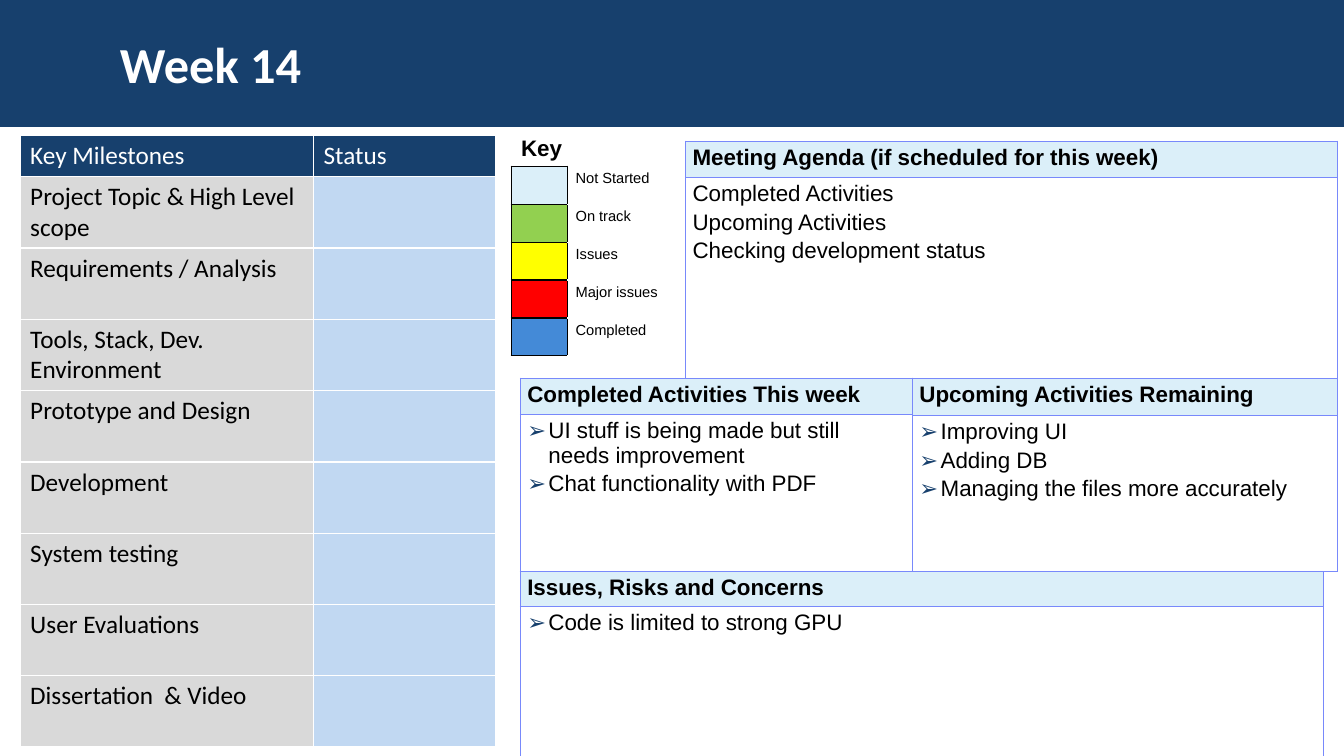
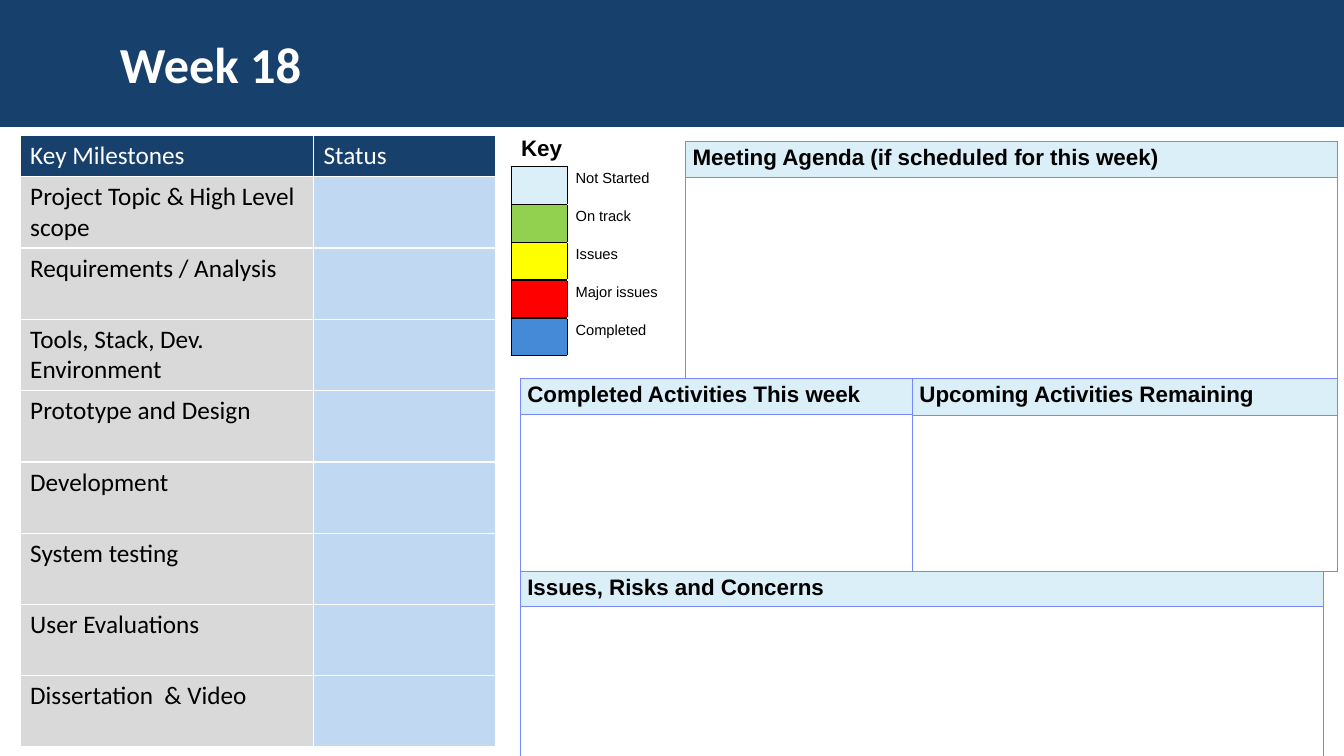
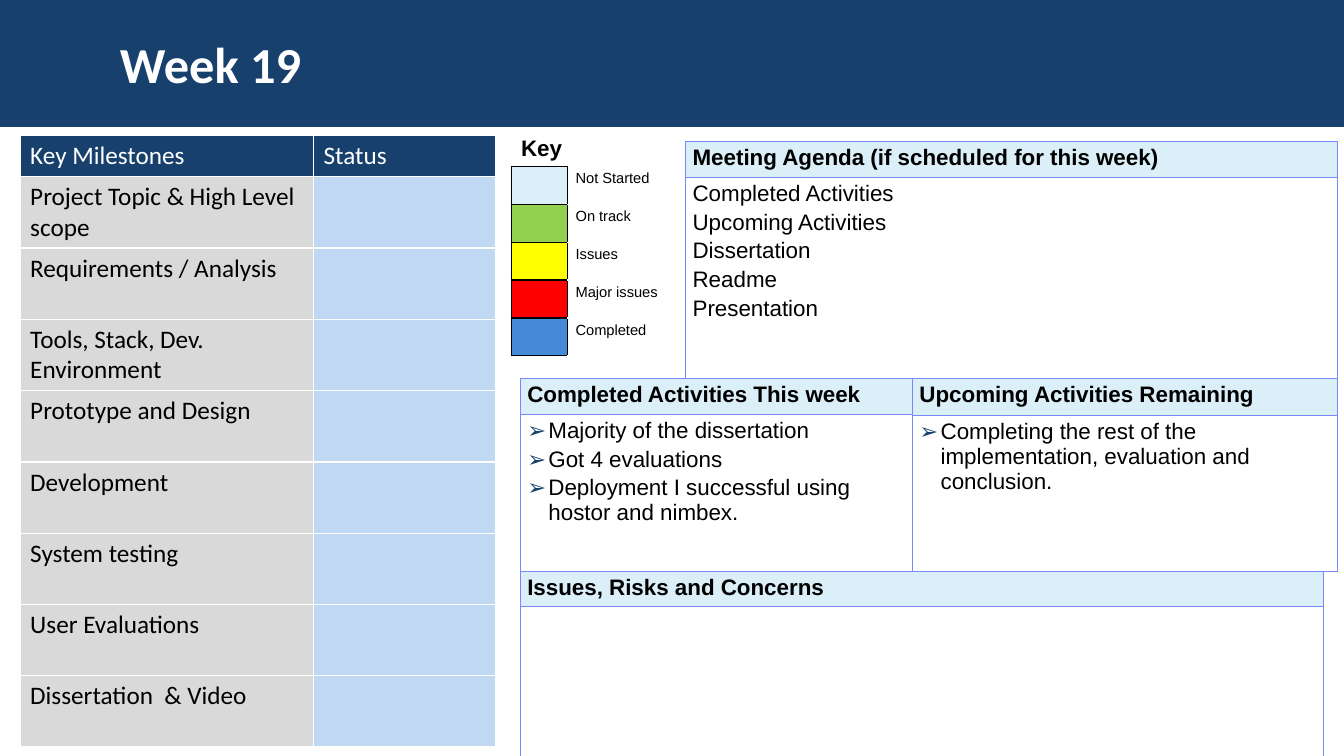
"""Build the weekly project status slides."""
import dataclasses

import lxml.etree
import pptx
import pptx.dml.color
import pptx.enum.shapes
import pptx.enum.text
import pptx.oxml.ns
import pptx.util

Inches, Pt, qn = pptx.util.Inches, pptx.util.Pt, pptx.oxml.ns.qn
rgb = pptx.dml.color.RGBColor.from_string


@dataclasses.dataclass(frozen=True)
class Theme:
    navy: str = "17406D"
    white: str = "FFFFFF"
    black: str = "000000"
    milestone: str = "D9D9D9"
    status: str = "C1D8F2"
    pale: str = "DBEFF9"
    panel_edge: str = "7889FB"
    heading_font: str = "Calibri"
    body_font: str = "Arial"
    title_size: float = 36
    milestone_size: float = 18
    panel_size: float = 16
    key_size: float = 10.5


theme = Theme()
SLIDE_W, SLIDE_H, BAND_H = 13.33, 7.5, 1.26
PANEL_LEFT, PANEL_SPLIT, PANEL_RIGHT = 5.16, 9.05, 13.26
AGENDA_TOP, ACTIVITY_TOP, ISSUES_TOP = 1.4, 3.75, 5.67
MILESTONE_COLUMNS, MILESTONES_H, HEADER_H = (2.91, 1.81), 6.06, 0.41
KEY_LEFT, KEY_TOP, KEY_COLUMNS, KEY_H = 5.07, 1.65, (0.56, 1.4), 1.88

milestones = ["Project Topic & High Level scope", "Requirements / Analysis",
              "Tools, Stack, Dev. Environment", "Prototype and Design", "Development",
              "System testing", "User Evaluations", "Dissertation  & Video"]
key_entries = [("Not Started", theme.pale), ("On track", "92D050"), ("Issues", "FFFF00"),
               ("Major issues", "FF0000"), ("Completed", "448AD7")]
panels = [
    ("Completed Activities This week", PANEL_LEFT, ACTIVITY_TOP, PANEL_SPLIT, ISSUES_TOP, 0.36),
    ("Meeting Agenda (if scheduled for this week)", 6.8, AGENDA_TOP, PANEL_RIGHT, ACTIVITY_TOP, 0.36),
    ("Issues, Risks and Concerns", PANEL_LEFT, ISSUES_TOP, 13.13, 7.52, 0.33),
    ("Upcoming Activities Remaining", PANEL_SPLIT, ACTIVITY_TOP, PANEL_RIGHT, ISSUES_TOP, 0.37),
]
weeks = {
    "Week 14": [
        ["UI stuff is being made but still needs improvement", "Chat functionality with PDF"],
        ["Completed Activities", "Upcoming Activities", "Checking development status"],
        ["Code is limited to strong GPU"],
        ["Improving UI", "Adding DB", "Managing the files more accurately"],
    ],
    "Week 18": [[], [], [], []],
    "Week 19": [
        ["Majority of the dissertation", "Got 4 evaluations",
         "Deployment I successful using hostor and nimbex."],
        ["Completed Activities", "Upcoming Activities", "Dissertation", "Readme", "Presentation"],
        [],
        ["Completing the rest of the implementation, evaluation and conclusion."],
    ],
}


def write(paragraph, text, size, font=theme.body_font, color=theme.black, bold=False):
    paragraph.text = text
    paragraph.font.size = Pt(size)
    paragraph.font.name = font
    paragraph.font.bold = bold
    paragraph.font.color.rgb = rgb(color)


def dress(cell, fill, edge, width, sides="LRTB", side_margin=0.1, end_margin=0.05):
    cell.margin_left = cell.margin_right = Inches(side_margin)
    cell.margin_top = cell.margin_bottom = Inches(end_margin)
    if fill:
        cell.fill.solid()
        cell.fill.fore_color.rgb = rgb(fill)
    else:
        cell.fill.background()
    properties = cell._tc.get_or_add_tcPr()
    for position, side in enumerate(sides):
        line = lxml.etree.Element(qn(f"a:ln{side}"), w=str(Pt(width)))
        paint = lxml.etree.SubElement(line, qn("a:solidFill"))
        lxml.etree.SubElement(paint, qn("a:srgbClr"), val=edge)
        properties.insert(position, line)


deck = pptx.Presentation()
deck.slide_width, deck.slide_height = Inches(SLIDE_W), Inches(SLIDE_H)
title_only = deck.slide_layouts[5]
slides = [deck.slides.add_slide(title_only) for _ in weeks]

band = slides[0].shapes.add_shape(
    pptx.enum.shapes.MSO_SHAPE.RECTANGLE, 0, 0, deck.slide_width, Inches(BAND_H))
band.shadow.inherit = False
band.fill.solid()
band.fill.fore_color.rgb = rgb(theme.navy)
band.line.fill.background()
title_only.shapes.element.insert(2, band.element)

for slide, (week, contents) in zip(slides, weeks.items()):
    title = slide.shapes.title
    title.left, title.top, title.width, title.height = map(Inches, (1.09, 0.21, 10.96, 0.83))
    title.text_frame.vertical_anchor = pptx.enum.text.MSO_ANCHOR.MIDDLE
    heading = title.text_frame.paragraphs[0]
    write(heading, week, theme.title_size, theme.heading_font, theme.white, True)
    heading.alignment = pptx.enum.text.PP_ALIGN.LEFT

    progress = slide.shapes.add_table(
        len(milestones) + 1, 2, Inches(0.2), Inches(1.34),
        Inches(sum(MILESTONE_COLUMNS)), Inches(MILESTONES_H)).table
    progress.first_row = progress.horz_banding = False
    for column, width in zip(progress.columns, MILESTONE_COLUMNS):
        column.width = Inches(width)
    for number, labels in enumerate([("Key Milestones", "Status")] + [(m, "") for m in milestones]):
        is_header = number == 0
        progress.rows[number].height = Inches(
            HEADER_H if is_header else (MILESTONES_H - HEADER_H) / len(milestones))
        for cell, label, fill in zip(progress.rows[number].cells, labels,
                                     (theme.milestone, theme.status)):
            dress(cell, theme.navy if is_header else fill, theme.white, 1)
            write(cell.text_frame.paragraphs[0], label, theme.milestone_size,
                  theme.heading_font, theme.white if is_header else theme.black)

    key = slide.shapes.add_table(
        len(key_entries), 2, Inches(KEY_LEFT), Inches(KEY_TOP),
        Inches(sum(KEY_COLUMNS)), Inches(KEY_H)).table
    key.first_row = key.horz_banding = False
    for column, width in zip(key.columns, KEY_COLUMNS):
        column.width = Inches(width)
    for row, (meaning, color) in zip(key.rows, key_entries):
        row.height = Inches(KEY_H / len(key_entries))
        swatch, label = row.cells
        dress(swatch, color, theme.black, 1, end_margin=0)
        dress(label, None, theme.black, 1, sides="L", side_margin=0.08, end_margin=0.04)
        write(label.text_frame.paragraphs[0], meaning, theme.key_size)

    key_heading = slide.shapes.add_textbox(*map(Inches, (KEY_LEFT, 1.28, 1.5, 0.37))).text_frame
    key_heading.word_wrap = True
    write(key_heading.paragraphs[0], "Key", theme.panel_size, bold=True)

    for (name, left, top, right, bottom, header_height), entries in zip(panels, contents):
        panel = slide.shapes.add_table(
            2, 1, Inches(left), Inches(top), Inches(right - left), Inches(bottom - top)).table
        panel.first_row = panel.horz_banding = False
        panel.rows[0].height = Inches(header_height)
        panel.rows[1].height = Inches(bottom - top - header_height)
        header, body = panel.cell(0, 0), panel.cell(1, 0)
        for cell, fill in ((header, theme.pale), (body, None)):
            dress(cell, fill, theme.panel_edge, 0.71, side_margin=0.07, end_margin=0.04)
        write(header.text_frame.paragraphs[0], name, theme.panel_size, bold=True)
        for number, entry in enumerate(entries):
            item = body.text_frame.add_paragraph() if number else body.text_frame.paragraphs[0]
            item.space_after = Pt(2.7)
            if not name.startswith("Meeting"):
                layout = item._p.get_or_add_pPr()
                layout.set("marL", str(Inches(0.21)))
                layout.set("indent", str(Inches(-0.21)))
                tint = lxml.etree.SubElement(layout, qn("a:buClr"))
                lxml.etree.SubElement(tint, qn("a:srgbClr"), val=theme.navy)
                lxml.etree.SubElement(layout, qn("a:buFont"), typeface=theme.body_font)
                lxml.etree.SubElement(layout, qn("a:buChar"), char="➢")
            write(item, entry, theme.panel_size)

deck.save("out.pptx")
